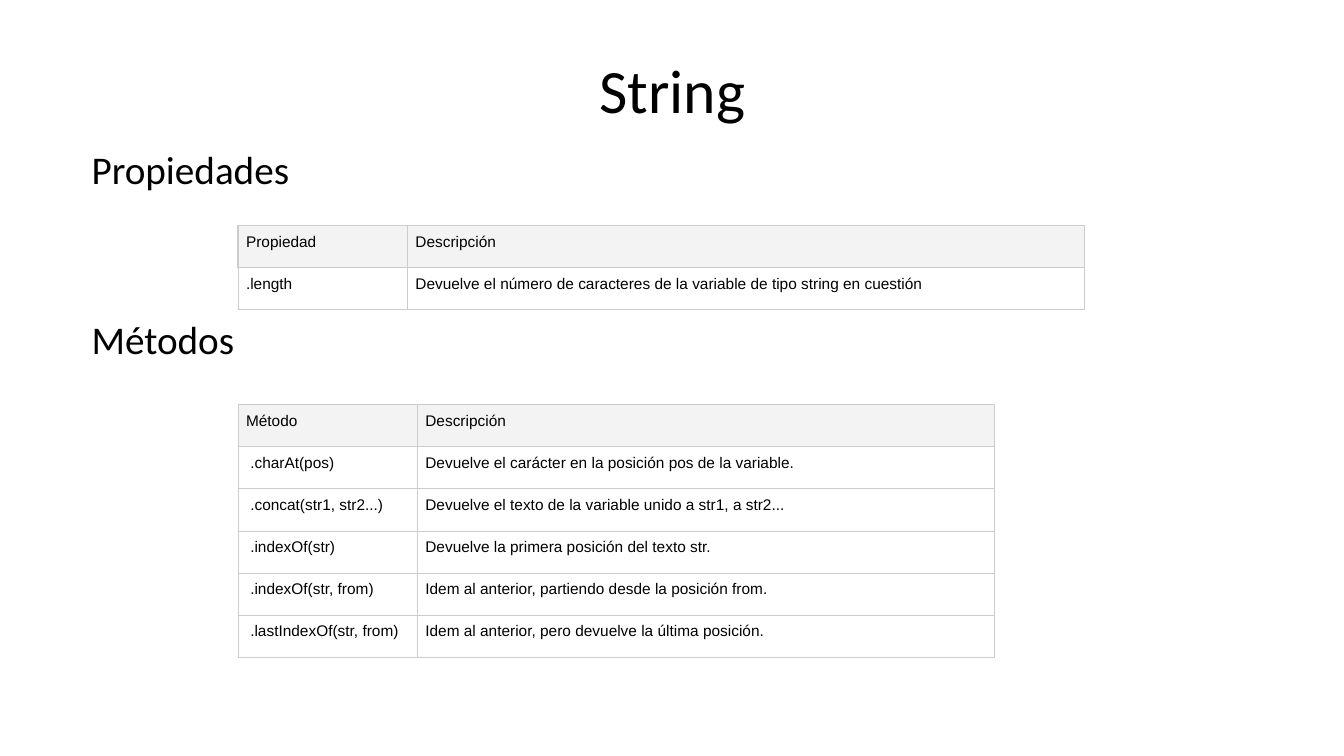
from dataclasses import dataclass

from lxml import etree
from pptx import Presentation
from pptx import util as u
from pptx.dml.color import RGBColor
from pptx.enum import text
from pptx.oxml import ns

COLORS = {"ink": "000000", "border": "CCCCCC", "header": "F3F3F3", "page": "FFFFFF"}
LEFT = 6.0
ROW_HEIGHT = 1.06
CELL_MARGIN = u.Cm(0.2)
BODY_BORDER = 0.75


@dataclass
class Heading:
    words: list[str]
    left: float
    top: float
    height: float
    size: int
    align: text.PP_ALIGN = text.PP_ALIGN.LEFT
    anchor: text.MSO_ANCHOR = text.MSO_ANCHOR.TOP
    gap: float = 0


@dataclass
class Reference:
    top: float
    widths: tuple[float, float]
    header_border: float
    rows: list[tuple[str, str]]


def style(paragraph, font: str, size: int) -> None:
    for run in paragraph.runs:
        run.font.name = font
        run.font.size = u.Pt(size)
        run.font.color.rgb = RGBColor.from_string(COLORS["ink"])


def draw_heading(slide, heading: Heading) -> None:
    box = slide.shapes.add_textbox(
        u.Cm(heading.left), u.Cm(heading.top), u.Cm(29.21), u.Cm(heading.height))
    frame = box.text_frame
    frame.word_wrap = True
    frame.vertical_anchor = heading.anchor
    frame.text = "\n".join(heading.words)
    for index, paragraph in enumerate(frame.paragraphs):
        paragraph.alignment = heading.align
        paragraph.line_spacing = 0.9
        paragraph.space_before = u.Pt(heading.gap if index else 0)
        style(paragraph, "Calibri", heading.size)


def draw_border(cell, side: str, width: float) -> None:
    properties = cell._tc.get_or_add_tcPr()
    line = etree.SubElement(properties, ns.qn(f"a:ln{side}"), w=str(u.Pt(width)))
    fill = etree.SubElement(line, ns.qn("a:solidFill"))
    etree.SubElement(fill, ns.qn("a:srgbClr"), val=COLORS["border"])


def draw_reference(slide, reference: Reference) -> None:
    count = len(reference.rows)
    table = slide.shapes.add_table(
        count, 2, u.Cm(LEFT), u.Cm(reference.top),
        u.Cm(sum(reference.widths)), u.Cm(ROW_HEIGHT * count)).table
    for column, width in zip(table.columns, reference.widths):
        column.width = u.Cm(width)
    for row_index, entries in enumerate(reference.rows):
        table.rows[row_index].height = u.Cm(ROW_HEIGHT)
        is_header = row_index == 0
        for column_index, entry in enumerate(entries):
            cell = table.cell(row_index, column_index)
            cell.margin_left = cell.margin_right = CELL_MARGIN
            cell.margin_top = cell.margin_bottom = CELL_MARGIN
            for side in "LRTB":
                wide = is_header or (row_index == 1 and side == "T")
                draw_border(cell, side, reference.header_border if wide else BODY_BORDER)
            cell.fill.solid()
            cell.fill.fore_color.rgb = RGBColor.from_string(
                COLORS["header" if is_header else "page"])
            cell.text_frame.text = entry
            style(cell.text_frame.paragraphs[0], "Arial", 11)


HEADINGS = [
    Heading(["String"], 2.34, 1.02, 2.67, 44,
            text.PP_ALIGN.CENTER, text.MSO_ANCHOR.MIDDLE),
    Heading(["Propiedades", "Métodos"], 2.06, 3.68, 13.69, 28, gap=91),
]
REFERENCES = [
    Reference(5.68, (4.27, 17.07), 1, [
        ("Propiedad", "Descripción"),
        (".length", "Devuelve el número de caracteres de la variable de tipo string en cuestión"),
    ]),
    Reference(10.2, (4.52, 14.53), BODY_BORDER, [
        ("Método", "Descripción"),
        (" .charAt(pos)", "Devuelve el carácter en la posición pos de la variable."),
        (" .concat(str1, str2...)", "Devuelve el texto de la variable unido a str1, a str2..."),
        (" .indexOf(str)", "Devuelve la primera posición del texto str."),
        (" .indexOf(str, from)", "Idem al anterior, partiendo desde la posición from."),
        (" .lastIndexOf(str, from)", "Idem al anterior, pero devuelve la última posición."),
    ]),
]

deck = Presentation()
deck.slide_width = u.Cm(33.87)
deck.slide_height = u.Cm(19.05)
string_slide = deck.slides.add_slide(deck.slide_layouts[6])
for heading in HEADINGS:
    draw_heading(string_slide, heading)
for reference in REFERENCES:
    draw_reference(string_slide, reference)
deck.save("out.pptx")
